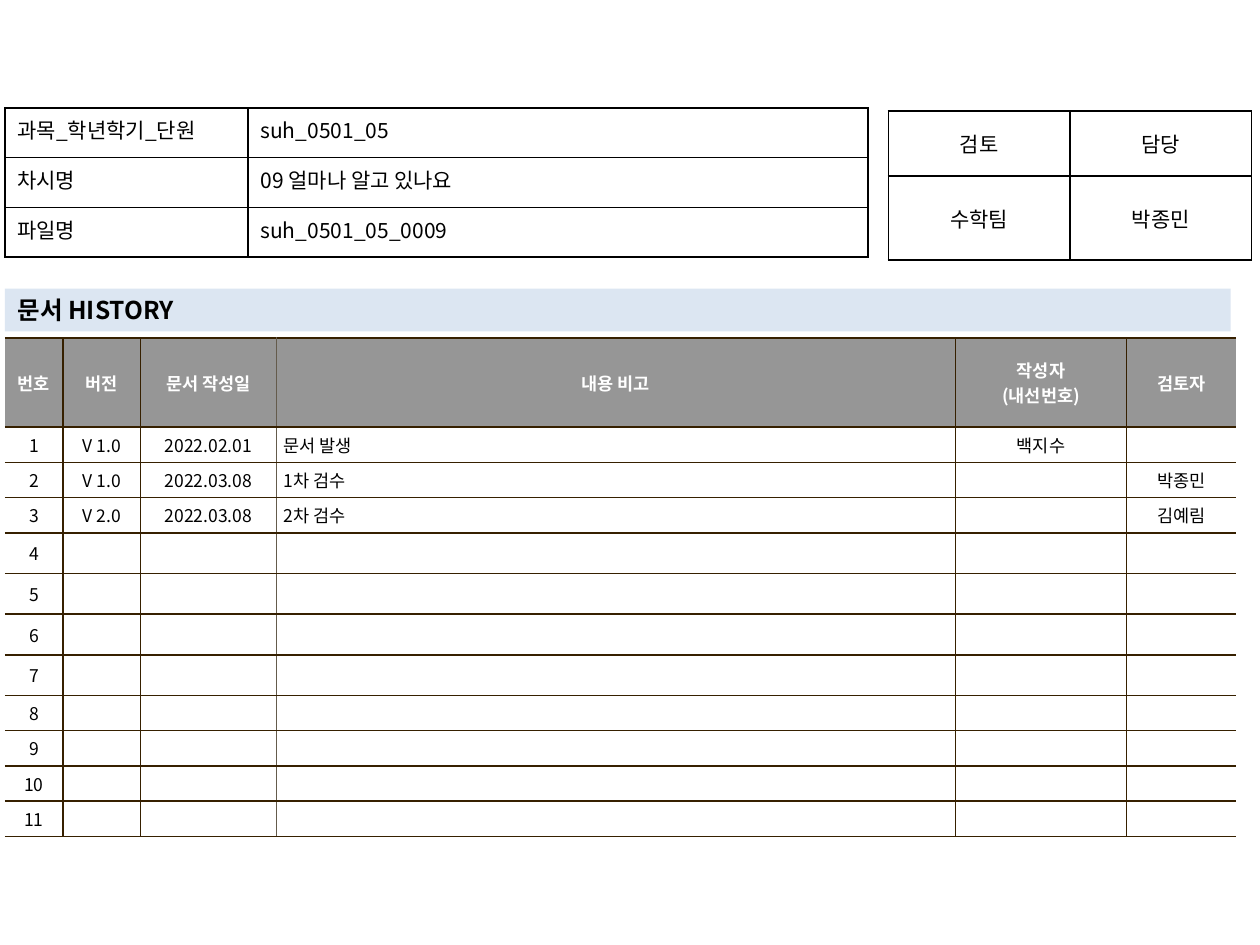
from dataclasses import dataclass

from lxml import etree
from pptx import Presentation
from pptx.dml.color import RGBColor
from pptx.enum.text import MSO_ANCHOR, MSO_AUTO_SIZE, PP_ALIGN
from pptx.oxml.ns import qn
from pptx.util import Cm, Pt

CENTER, LEFT, JUSTIFY = PP_ALIGN.CENTER, PP_ALIGN.LEFT, PP_ALIGN.JUSTIFY
TOP, MIDDLE = MSO_ANCHOR.TOP, MSO_ANCHOR.MIDDLE

FONT = "Noto Sans CJK KR"
BLACK = RGBColor(0x00, 0x00, 0x00)
WHITE = RGBColor(0xFF, 0xFF, 0xFF)
GRAY = RGBColor(0x96, 0x96, 0x96)
PALE_BLUE = RGBColor(0xDC, 0xE6, 0xF2)
BROWN = RGBColor(0x36, 0x20, 0x00)
LIGHT_BROWN = RGBColor(0x64, 0x5B, 0x4C)

TITLE_ONLY_LAYOUT = 5
TITLE_BAR = (Cm(0.1), Cm(5.82), Cm(24.71), Cm(0.86))


@dataclass
class TableSpec:
    left: float
    top: float
    columns: list[float]
    rows: list[float]
    texts: list[list[str]]
    alignments: list[PP_ALIGN]
    anchor: MSO_ANCHOR
    size: int
    margins: tuple[float, float]
    line_color: RGBColor


INFO = TableSpec(
    0.1, 2.18, [4.9, 12.5], [1.0] * 3,
    [["과목_학년학기_단원", "suh_0501_05"],
     ["차시명", "09 얼마나 알고 있나요"],
     ["파일명", "suh_0501_05_0009"]],
    [JUSTIFY, LEFT], TOP, 12, (0.25, 0.13), BLACK)

REVIEW = TableSpec(
    17.91, 2.24, [3.66] * 2, [1.31, 1.69],
    [["검토", "담당"], ["수학팀", "박종민"]],
    [CENTER] * 2, MIDDLE, 12, (0.25, 0.13), BLACK)

HISTORY_HEADER = ["번호", "버전", "문서 작성일", "내용 비고", "작성자\n(내선번호)", "검토자"]
HISTORY_ENTRIES = [
    ["V 1.0", "2022.02.01", "문서 발생", "백지수", ""],
    ["V 1.0", "2022.03.08", "1차 검수", "", "박종민"],
    ["V 2.0", "2022.03.08", "2차 검수", "", "김예림"],
] + [[""] * 5] * 8
HISTORY = TableSpec(
    0.1, 6.81, [1.17, 1.56, 2.74, 13.69, 3.45, 2.21],
    [1.8] + [0.71] * 3 + [0.82] * 4 + [0.71] * 4,
    [HISTORY_HEADER] + [[str(number), *entry]
                        for number, entry in enumerate(HISTORY_ENTRIES, 1)],
    [CENTER] * 3 + [LEFT] + [CENTER] * 2, MIDDLE, 10, (0.15, 0.1), BROWN)
NOTE_COLUMN = 3


def format_text(text_frame, size: int, color: RGBColor, bold: bool, alignment: PP_ALIGN) -> None:
    for paragraph in text_frame.paragraphs:
        paragraph.alignment = alignment
        for run in paragraph.runs:
            run.font.size, run.font.bold, run.font.name = Pt(size), bold, FONT
            run.font.color.rgb = color
            etree.SubElement(run.font._element, qn("a:ea"), typeface=FONT)
        if not paragraph.runs:
            # An empty cell takes its line height from the end mark
            etree.SubElement(paragraph._p, qn("a:endParaRPr"), sz=str(size * 100))


def set_borders(cell, colors: dict[str, RGBColor | None]) -> None:
    """Put the side lines, given in the order L, R, T, B, ahead of the fill."""
    properties = cell._tc.get_or_add_tcPr()
    for position, (side, color) in enumerate(colors.items()):
        line = etree.Element(qn(f"a:ln{side}"), w=str(Pt(1)))
        if color is None:
            etree.SubElement(line, qn("a:noFill"))
        else:
            fill = etree.SubElement(line, qn("a:solidFill"))
            etree.SubElement(fill, qn("a:srgbClr"), val=str(color))
        properties.insert(position, line)


def add_table(slide, spec: TableSpec):
    frame = slide.shapes.add_table(
        len(spec.rows), len(spec.columns), Cm(spec.left), Cm(spec.top),
        Cm(sum(spec.columns)), Cm(sum(spec.rows)))
    table = frame.table
    table.first_row = table.horz_banding = False
    for column, width in zip(table.columns, spec.columns):
        column.width = Cm(width)
    for row, height in zip(table.rows, spec.rows):
        row.height = Cm(height)

    last_column = len(spec.columns) - 1
    is_history = spec is HISTORY
    for row_index, texts in enumerate(spec.texts):
        is_header = is_history and row_index == 0
        for column_index, text in enumerate(texts):
            cell = table.cell(row_index, column_index)
            cell.margin_left = cell.margin_right = Cm(spec.margins[0])
            cell.margin_top = cell.margin_bottom = Cm(spec.margins[1])
            cell.vertical_anchor = spec.anchor
            cell.text_frame.text = text
            alignment = CENTER if is_header else spec.alignments[column_index]
            format_text(cell.text_frame, spec.size, WHITE if is_header else BLACK,
                        is_header, alignment)
            if is_history:
                cell.fill.solid()
                cell.fill.fore_color.rgb = GRAY if is_header else WHITE
            else:
                cell.fill.background()

            # The history table is open at both sides
            borders = dict.fromkeys("LRTB", spec.line_color)
            if is_history:
                if column_index == 0:
                    borders["L"] = None
                if column_index == last_column:
                    borders["R"] = None
                if column_index == NOTE_COLUMN - 1:
                    borders["R"] = LIGHT_BROWN
                if column_index == NOTE_COLUMN:
                    borders["L"] = LIGHT_BROWN
            set_borders(cell, borders)


def add_title_bar(slide, text: str) -> None:
    title = slide.shapes.title
    title.left, title.top, title.width, title.height = TITLE_BAR
    title.fill.solid()
    title.fill.fore_color.rgb = PALE_BLUE
    text_frame = title.text_frame
    text_frame.text = text
    text_frame.word_wrap = True
    text_frame.auto_size = MSO_AUTO_SIZE.NONE
    text_frame.vertical_anchor = MIDDLE
    format_text(text_frame, 14, BLACK, True, LEFT)


def main() -> None:
    presentation = Presentation()
    presentation.slide_width, presentation.slide_height = Cm(25.4), Cm(19.05)
    slide = presentation.slides.add_slide(presentation.slide_layouts[TITLE_ONLY_LAYOUT])

    # Document history
    add_title_bar(slide, "문서 HISTORY")
    add_table(slide, HISTORY)

    # Document details and sign-off
    add_table(slide, REVIEW)
    add_table(slide, INFO)

    presentation.save("out.pptx")


if __name__ == "__main__":
    main()
